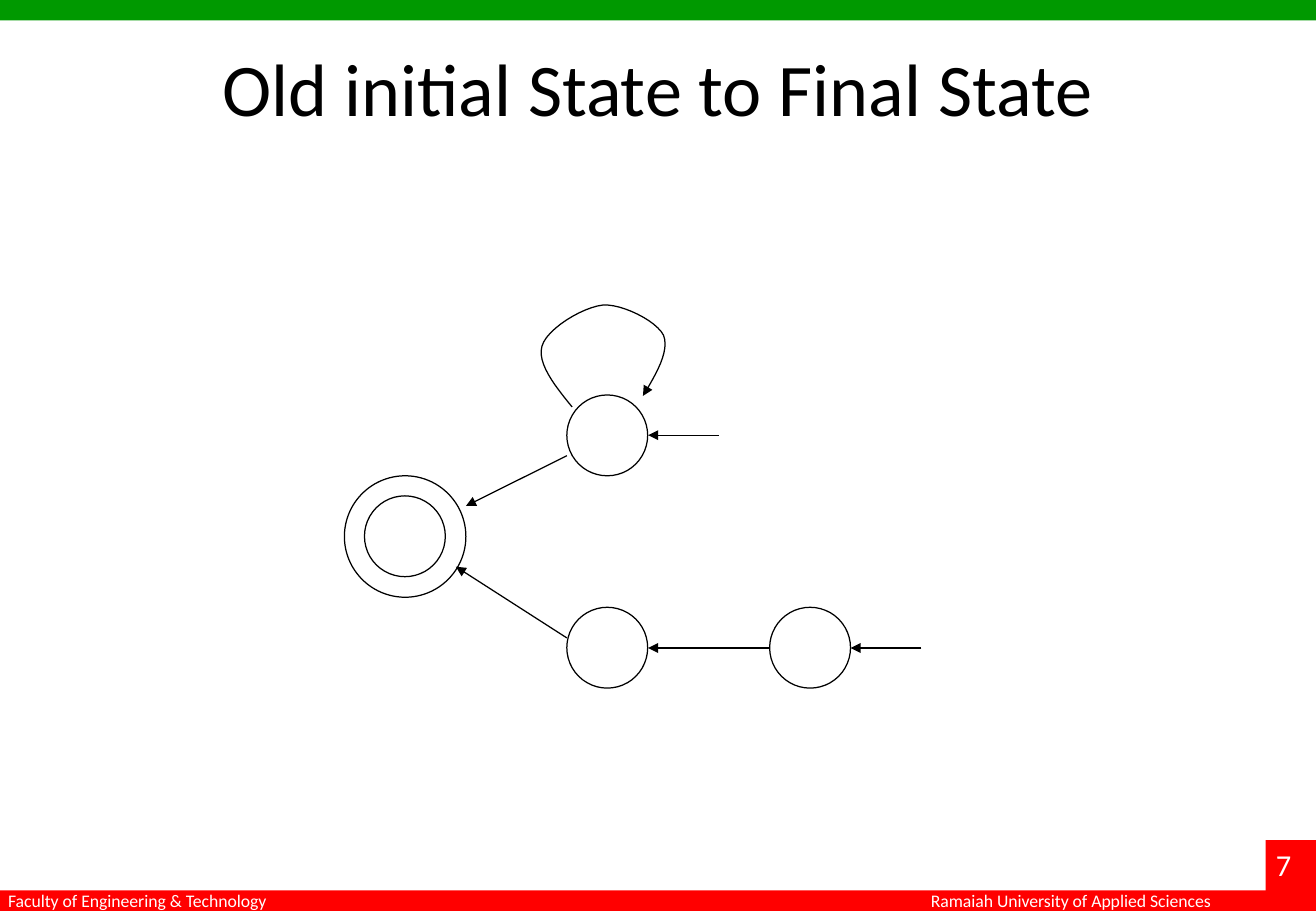
"""Build the slide on turning the old initial state into the final state."""
from pptx import Presentation
from pptx.dml.color import RGBColor
from pptx.enum.shapes import MSO_CONNECTOR, MSO_SHAPE
from pptx.enum.text import MSO_ANCHOR, PP_ALIGN
from pptx.oxml.ns import qn
from pptx.util import Cm, Pt
from lxml.etree import SubElement


def color(value):
    return RGBColor.from_string(value)


def outline(sp, arrow=False):
    sp.line.color.rgb = color("000000")
    sp.line.width = Pt(0.75)
    if arrow:
        SubElement(sp.line._get_or_add_ln(), qn("a:tailEnd"), type="triangle", w="med", len="med")


prs = Presentation()
prs.slide_width, prs.slide_height = Cm(27.51), Cm(19.05)
s = prs.slides.add_slide(prs.slide_layouts[5])

bars = [
    (0, 18.62, 27.51, 0.43, "FF0000"),
    (0, 0, 27.51, 0.43, "009900"),
    (26.46, 17.57, 1.05, 1.48, "FF0000"),
]
for x, y, w, h, fill in bars:
    sp = s.shapes.add_shape(MSO_SHAPE.RECTANGLE, Cm(x), Cm(y), Cm(w), Cm(h))
    sp.shadow.inherit = False
    sp.fill.solid()
    sp.fill.fore_color.rgb = color(fill)
    sp.line.fill.background()

labels = [
    ("Ramaiah University of Applied Sciences", 19.21, 18.49, 6.65, 0.71, 10.5),
    ("Faculty of Engineering & Technology", -0.08, 18.49, 6.05, 0.71, 10.5),
    ("7", 26.42, 17.57, 1.09, 1.02, 18),
]
for text, x, y, w, h, size in labels:
    tf = s.shapes.add_textbox(Cm(x), Cm(y), Cm(w), Cm(h)).text_frame
    tf.word_wrap = True
    p = tf.paragraphs[0]
    p.text = text
    p.font.name, p.font.size = "Calibri", Pt(size)
    p.font.color.rgb = color("FFFFFF")

title = s.shapes.title
title.left, title.top, title.width, title.height = Cm(1.37), Cm(0.76), Cm(24.77), Cm(3.18)
tf = title.text_frame
tf.text = "Old initial State to Final State"
tf.vertical_anchor = MSO_ANCHOR.TOP
p = tf.paragraphs[0]
p.alignment = PP_ALIGN.CENTER
p.font.name, p.font.size = "Calibri", Pt(44)
p.font.color.rgb = color("000000")

states = [
    (7.62, 10.37, 1.69),
    (11.85, 8.26, 1.69),
    (11.85, 12.7, 1.69),
    (16.09, 12.7, 1.69),
    (7.2, 9.95, 2.54),
]
for x, y, d in states:
    sp = s.shapes.add_shape(MSO_SHAPE.OVAL, Cm(x), Cm(y), Cm(d), Cm(d))
    sp.shadow.inherit = False
    sp.fill.background()
    outline(sp)

transitions = [
    (11.85, 13.34, 9.53, 11.85),
    (16.09, 13.55, 13.55, 13.55),
    (11.85, 9.53, 9.74, 10.58),
    (15.03, 9.1, 13.55, 9.1),
    (19.26, 13.55, 17.78, 13.55),
]
for x1, y1, x2, y2 in transitions:
    cn = s.shapes.add_connector(MSO_CONNECTOR.STRAIGHT, Cm(x1), Cm(y1), Cm(x2), Cm(y2))
    outline(cn, arrow=True)
    SubElement(cn._element.spPr, qn("a:effectLst"))

start = (11.96, 8.51)
curves = [
    ((11.58, 8.05), (11.23, 7.59), (11.33, 7.24)),
    ((11.43, 6.88), (12.17, 6.43), (12.6, 6.38)),
    ((13.0, 6.35), (13.72, 6.71), (13.87, 7.01)),
    ((14.0, 7.34), (13.72, 7.82), (13.44, 8.28)),
]
steps = 12
points = []
p0 = start
for p1, p2, p3 in curves:
    for i in range(1, steps + 1):
        t = i / steps
        u = 1 - t
        points.append(tuple(
            Cm(u**3 * a + 3 * u**2 * t * b + 3 * u * t**2 * c + t**3 * d)
            for a, b, c, d in zip(p0, p1, p2, p3)
        ))
    p0 = p3
fb = s.shapes.build_freeform(Cm(start[0]), Cm(start[1]))
fb.add_line_segments(points, close=False)
loop = fb.convert_to_shape()
loop.shadow.inherit = False
loop.fill.background()
outline(loop, arrow=True)

prs.save("out.pptx")
